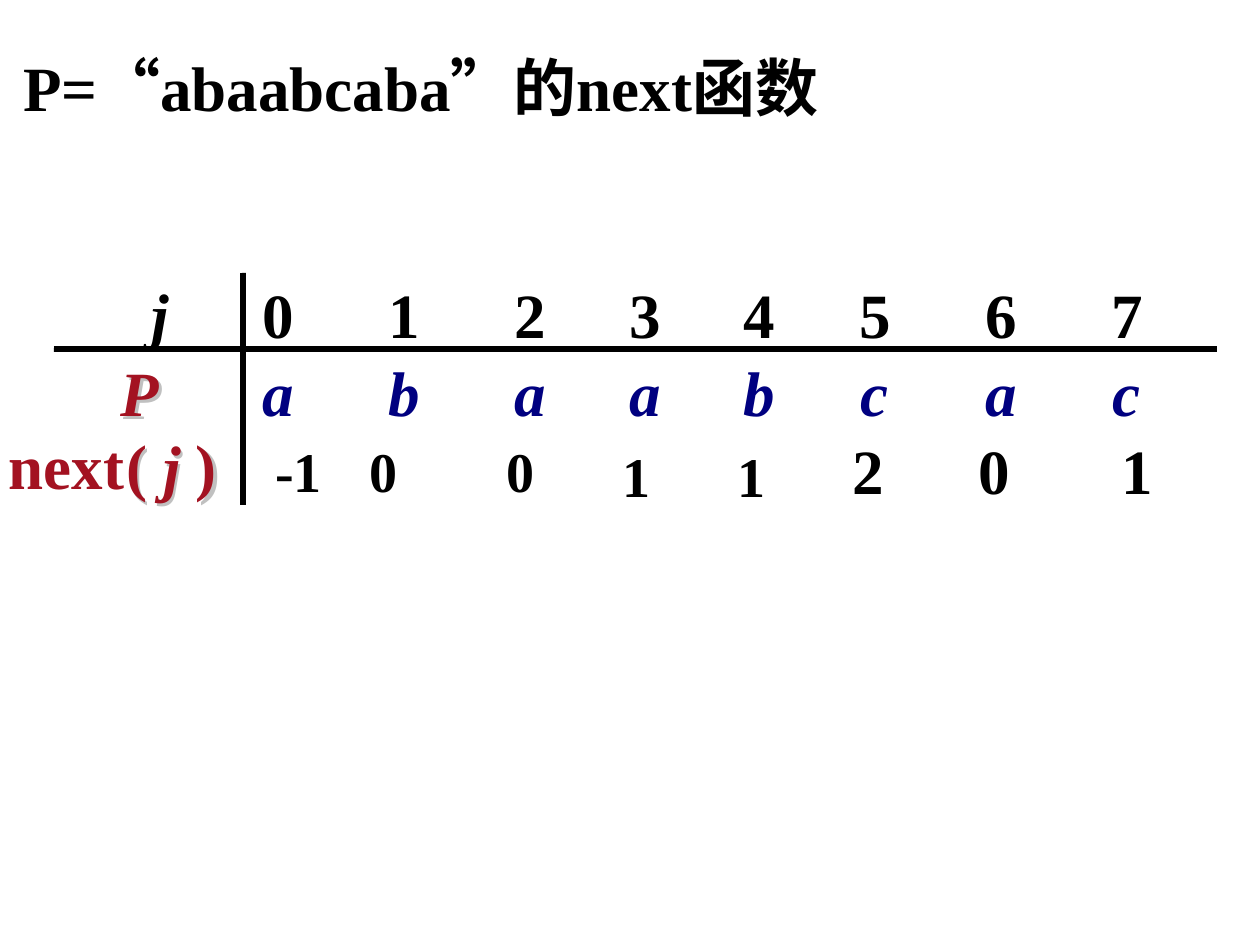
from lxml.etree import SubElement
from pptx import Presentation
from pptx.dml.color import RGBColor
from pptx.enum.shapes import MSO_CONNECTOR, MSO_SHAPE
from pptx.enum.text import MSO_ANCHOR, MSO_AUTO_SIZE, PP_ALIGN
from pptx.oxml.ns import qn
from pptx.util import Emu, Pt

PX = 914400 / 126
FONT = "Times New Roman"
BLACK, RED, NAVY, GREY = "000000", "A31221", "000080", "C0C0C0"
COLUMN_LEFTS = [247, 373, 499, 614, 728, 844, 970, 1096]
RULE = 4
TABLE_LEFT, TABLE_RIGHT = 54, 1217
HEADER_RULE_TOP = 348
LABEL_RULE_LEFT = 242
ROW_SPANS = ((273, 348), (352, 425), (425, 505))
SYMBOL_MARGINS = (16, 0, 0, 0)
SHADOW_OFFSET = 3
PADDING = (13, 6, 13, 6)


def px(length):
    return Emu(round(length * PX))


def color(hex_value):
    return RGBColor.from_string(hex_value)


def place(shape, left, top, width, height):
    bounds = {"left": left, "top": top, "width": width, "height": height}
    for name, value in bounds.items():
        setattr(shape, name, px(value))


def format_text(shape, text, ink=BLACK, size=36, italic=False, wrap=False,
                margins=(0, 0, 0, 0), tabs=()):
    frame = shape.text_frame
    frame_format = {"word_wrap": wrap, "vertical_anchor": MSO_ANCHOR.TOP,
                    "auto_size": MSO_AUTO_SIZE.NONE}
    for side, margin in zip(("left", "top", "right", "bottom"), margins):
        frame_format[f"margin_{side}"] = px(margin)
    for name, value in frame_format.items():
        setattr(frame, name, value)

    paragraph = frame.paragraphs[0]
    paragraph.alignment = PP_ALIGN.LEFT
    if tabs:
        tab_list = SubElement(paragraph._p.get_or_add_pPr(), qn("a:tabLst"))
        for position in tabs:
            SubElement(tab_list, qn("a:tab"), pos=str(px(position)), algn="l")
    run = paragraph.add_run()
    run.text = text
    font_format = {"name": FONT, "size": Pt(size), "bold": True, "italic": italic}
    for name, value in font_format.items():
        setattr(run.font, name, value)
    run.font.color.rgb = color(ink)


def add_text(slide, text, left, top, width, height=76, **text_format):
    box = slide.shapes.add_textbox(px(left), px(top), px(width), px(height))
    format_text(box, text, **text_format)


def add_shadowed_label(slide, text, left, top, width, italic=False):
    for offset, ink in ((SHADOW_OFFSET, GREY), (0, RED)):
        add_text(slide, text, left + offset, top + offset, width,
                 ink=ink, italic=italic)


def add_hairline(slide, left, top, right, bottom):
    hairline = slide.shapes.add_connector(
        MSO_CONNECTOR.STRAIGHT, px(left), px(top), px(right), px(bottom))
    hairline.line.color.rgb = color(BLACK)
    hairline.line.width = Pt(0)
    SubElement(hairline._element.spPr, qn("a:effectLst"))


def add_rule(slide, left, top, width, height):
    """Draw a bar with a hairline along each edge that starts a border."""
    bar = slide.shapes.add_shape(MSO_SHAPE.RECTANGLE, 0, 0, 0, 0)
    place(bar, left, top, width, height)
    bar.shadow.inherit = False
    bar.fill.solid()
    bar.fill.fore_color.rgb = color(BLACK)
    bar.line.fill.background()
    if width >= height:
        add_hairline(slide, left, top, left + width, top)
    if height >= width:
        add_hairline(slide, left, top, left, top + height)


def add_table_rules(slide):
    add_rule(slide, TABLE_LEFT, HEADER_RULE_TOP, LABEL_RULE_LEFT - TABLE_LEFT, RULE)
    junctions = [LABEL_RULE_LEFT] + [left - RULE for left in COLUMN_LEFTS[1:]]
    for junction, end in zip(junctions, junctions[1:] + [TABLE_RIGHT]):
        start = junction + RULE
        add_rule(slide, junction, HEADER_RULE_TOP, RULE, RULE)
        add_rule(slide, start, HEADER_RULE_TOP, end - start, RULE)
    for top, bottom in ROW_SPANS:
        add_rule(slide, LABEL_RULE_LEFT, top, RULE, bottom - top)


def add_symbol_row(slide, symbols, top, **text_format):
    for left, symbol in zip(COLUMN_LEFTS, symbols):
        width = 44 if symbol == "c" else 48
        add_text(slide, symbol, left, top, width, margins=SYMBOL_MARGINS,
                 **text_format)


def add_next_values(slide):
    for value, left, top in (("-1", 262, 431), ("0", 356, 431), ("0", 494, 431),
                             ("1", 609, 435), ("1", 725, 435)):
        add_text(slide, value, left, top, 84, 81, size=32, wrap=True,
                 margins=PADDING)
    add_text(slide, "2\t0\t1", 840, 426, 357, 88, wrap=True,
             margins=PADDING, tabs=(126, 268))


def main():
    presentation = Presentation()
    presentation.slide_width, presentation.slide_height = px(1260), px(945)
    slide = presentation.slides.add_slide(presentation.slide_layouts[5])

    title = slide.shapes.title
    place(title, 10, 42, 1229, 88)
    format_text(title, "P=“abaabcaba”的next函数", wrap=True, margins=PADDING)

    add_text(slide, "j", 152, 276, 18, italic=True)
    add_symbol_row(slide, "01234567", 276)
    add_shadowed_label(slide, "P", 121, 354, 39, italic=True)
    add_symbol_row(slide, "abaabcac", 354, ink=NAVY, italic=True)
    add_table_rules(slide)

    add_text(slide, "next", 9, 427, 116, ink=RED)
    add_shadowed_label(slide, "(", 126, 427, 21)
    add_shadowed_label(slide, "j", 163, 428, 18, italic=True)
    add_shadowed_label(slide, ")", 196, 427, 21)
    add_next_values(slide)

    presentation.save("out.pptx")


if __name__ == "__main__":
    main()
